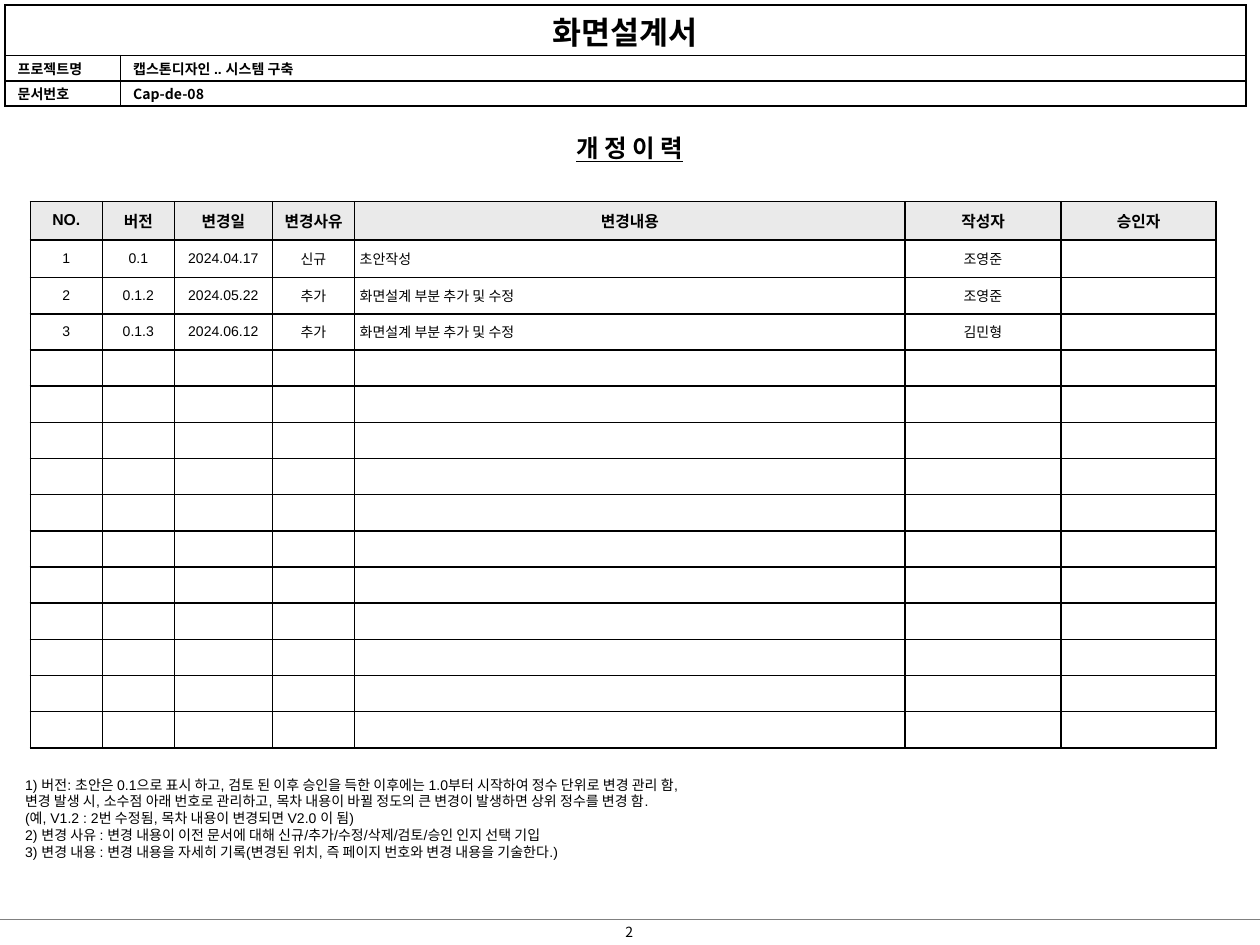
from lxml.etree import SubElement
from pptx import Presentation
from pptx.dml.color import RGBColor
from pptx.enum.shapes import MSO_CONNECTOR
from pptx.enum.text import MSO_ANCHOR, PP_ALIGN
from pptx.oxml.ns import qn
from pptx.util import Pt

COLORS = {"text": "000000", "rule": "808080", "head": "EAEAEA", "paper": "FFFFFF"}
ARIAL, NOTO = "Arial", "Noto Sans CJK KR"
LEFT, CENTER = PP_ALIGN.LEFT, PP_ALIGN.CENTER


def write(p, text, size, font=ARIAL, bold=False, align=LEFT):
    p.alignment = align
    if not text:
        # An empty cell keeps a small line so that its row does not grow
        SubElement(p._p, qn("a:endParaRPr"), sz=str(size * 100))
        return None
    r = p.add_run()
    r.text = text
    r.font.size, r.font.name, r.font.bold = Pt(size), font, bold
    r.font.color.rgb = RGBColor.from_string(COLORS["text"])
    SubElement(r._r.get_or_add_rPr(), qn("a:ea"), typeface=NOTO)
    return r


def style_cell(cell, fill, side, top, bottom, anchor):
    tcPr = cell._tc.get_or_add_tcPr()
    for edge in ("lnL", "lnR", "lnT", "lnB"):
        ln = SubElement(tcPr, qn(f"a:{edge}"), w=str(Pt(1)))
        SubElement(SubElement(ln, qn("a:solidFill")), qn("a:srgbClr"), val=COLORS["text"])
    if fill:
        cell.fill.solid()
        cell.fill.fore_color.rgb = RGBColor.from_string(fill)
    else:
        cell.fill.background()
    cell.margin_left = cell.margin_right = Pt(side)
    cell.margin_top, cell.margin_bottom = Pt(top), Pt(bottom)
    cell.vertical_anchor = anchor


prs = Presentation()
prs.slide_width, prs.slide_height = Pt(720), Pt(540)
s = prs.slides.add_slide(prs.slide_layouts[6])

# Footer rule
rule = s.shapes.add_connector(MSO_CONNECTOR.STRAIGHT, 0, Pt(525.6), Pt(720), Pt(525.6))
rule.line.color.rgb = RGBColor.from_string(COLORS["rule"])
rule.line.width = Pt(0.75)
SubElement(rule._element.spPr, qn("a:effectLst"))

# Document header and revision history tables
header_rows = [
    ["화면설계서", ""],
    ["프로젝트명", "캡스톤디자인 .. 시스템 구축"],
    ["문서번호", "Cap-de-08"],
]
history_rows = [
    ["NO.", "버전", "변경일", "변경사유", "변경내용", "작성자", "승인자"],
    ["1", "0.1", "2024.04.17", "신규", "초안작성", "조영준", ""],
    ["2", "0.1.2", "2024.05.22", "추가", "화면설계 부분 추가 및 수정", "조영준", ""],
    ["3", "0.1.3", "2024.06.12", "추가", "화면설계 부분 추가 및 수정", "김민형", ""],
] + [[""] * 7] * 11
tables = []
for x, y, widths, heights in [
    (2.9, 2.9, [66, 643], [27.7, 12.5, 12.5]),
    (17.3, 115.2, [41.2, 41.2, 56, 47, 314.6, 89, 88.7], [22, 21.5] + [20.67] * 13),
]:
    frame = s.shapes.add_table(len(heights), len(widths), Pt(x), Pt(y),
                               Pt(sum(widths)), Pt(sum(heights)))
    table = frame.table
    table.first_row = table.horz_banding = False
    for column, width in zip(table.columns, widths):
        column.width = Pt(width)
    for row, height in zip(table.rows, heights):
        row.height = Pt(height)
    tables.append(table)
header, history = tables

header.cell(0, 0).merge(header.cell(0, 1))
for i, row in enumerate(header_rows):
    for j, text in enumerate(row):
        cell = header.cell(i, j)
        style_cell(cell, COLORS["paper"], 7.2, 1.4, 1.4, MSO_ANCHOR.TOP)
        font = NOTO if text in ("화면설계서", "Cap-de-08") else ARIAL
        write(cell.text_frame.paragraphs[0], text, 8 if i else 18, font, True,
              LEFT if i else CENTER)

for i, row in enumerate(history_rows):
    for j, text in enumerate(row):
        cell = history.cell(i, j)
        style_cell(cell, None if i else COLORS["head"], 2.9, 0, 0.5, MSO_ANCHOR.MIDDLE)
        write(cell.text_frame.paragraphs[0], text, 8 if i else 9, bold=i == 0,
              align=LEFT if i and j == 4 else CENTER)

# Section title, notes and page number
notes = [
    "1) 버전: 초안은 0.1으로 표시 하고, 검토 된 이후 승인을 득한 이후에는 1.0부터 시작하여 정수 단위로 변경 관리 함,",
    "변경 발생 시, 소수점 아래 번호로 관리하고, 목차 내용이 바뀔 정도의 큰 변경이 발생하면 상위 정수를 변경 함.",
    "(예, V1.2 : 2번 수정됨, 목차 내용이 변경되면 V2.0 이 됨)",
    "2) 변경 사유 : 변경 내용이 이전 문서에 대해 신규/추가/수정/삭제/검토/승인 인지 선택 기입",
    "3) 변경 내용 : 변경 내용을 자세히 기록(변경된 위치, 즉 페이지 번호와 변경 내용을 기술한다.)",
]
for box, lines, size, font, title, align in [
    ((0, 72.7, 720, 24.5), ["개 정 이 력"], 14, ARIAL, True, CENTER),
    ((7.2, 440, 648.7, 55.4), notes, 8, ARIAL, False, LEFT),
    ((339.8, 524.2, 39.6, 17.3), ["2"], 8, NOTO, False, CENTER),
]:
    tf = s.shapes.add_textbox(*map(Pt, box)).text_frame
    tf.word_wrap = True
    for i, line in enumerate(lines):
        p = tf.add_paragraph() if i else tf.paragraphs[0]
        r = write(p, line, size, font, title, align)
        r.font.underline = title

prs.save("out.pptx")
